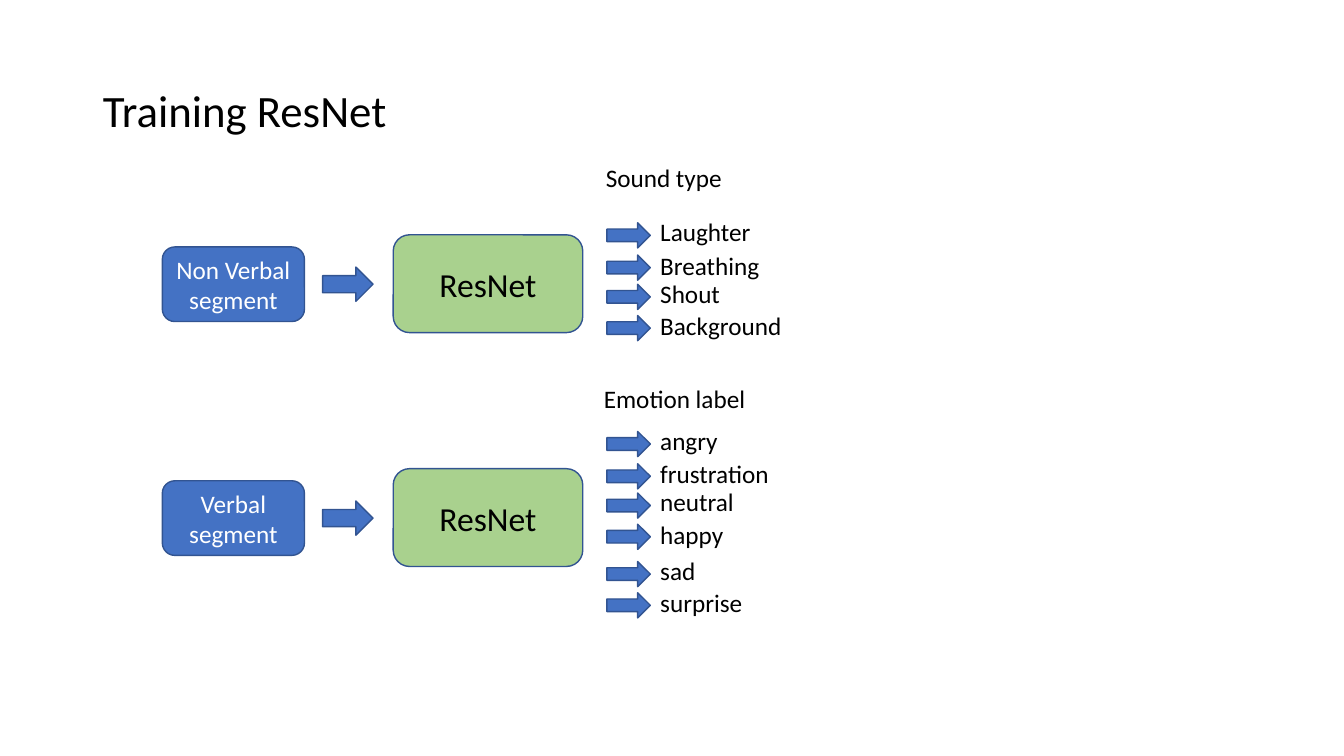
from dataclasses import dataclass
from pptx import Presentation
from pptx.dml.color import RGBColor as RGB
from pptx.enum.shapes import MSO_SHAPE as Form
from pptx.enum.text import MSO_ANCHOR as Anchor, MSO_AUTO_SIZE as Fit, PP_ALIGN as Align
from pptx.util import Inches, Pt


@dataclass(frozen=True)
class Theme:
    font: str = "Calibri"
    blue: RGB = RGB(0x44, 0x72, 0xC4)
    edge: RGB = RGB(0x32, 0x54, 0x91)
    green: RGB = RGB(0xA9, 0xD1, 0x8E)
    dark: RGB = RGB(0, 0, 0)
    light: RGB = RGB(255, 255, 255)
    head: int = 32
    model: int = 24
    body: int = 18


THEME = Theme()
TEXT_STEPS = (0, 0.33, 0.61, 0.93, 1.29, 1.61)
ARROW_STEPS = (0.11, 0.43, 0.72, 1.03, 1.4, 1.71)


def write(frame, text, size, color, align=Align.LEFT):
    frame.text = text
    frame.word_wrap = True
    line = frame.paragraphs[0]
    line.alignment = align
    font = line.runs[0].font
    font.name = THEME.font
    font.size = Pt(size)
    font.color.rgb = color


def add_title(slide, text):
    title = slide.shapes.title
    title.left, title.top = Inches(0.92), Inches(0.4)
    title.width, title.height = Inches(11.5), Inches(1.45)
    frame = title.text_frame
    write(frame, text, THEME.head, THEME.dark)
    frame.auto_size = Fit.NONE
    frame.vertical_anchor = Anchor.MIDDLE
    frame.paragraphs[0].line_spacing = 0.9


def add_form(slide, form, left, top, width, height, fill):
    shape = slide.shapes.add_shape(
        form, Inches(left), Inches(top), Inches(width), Inches(height))
    shape.shadow.inherit = False
    shape.fill.solid()
    shape.fill.fore_color.rgb = fill
    shape.line.color.rgb = THEME.edge
    shape.line.width = Pt(1)
    return shape


def add_block(slide, text, left, top, width, height, fill, size, color):
    block = add_form(slide, Form.ROUNDED_RECTANGLE, left, top, width, height, fill)
    block.text_frame.vertical_anchor = Anchor.MIDDLE
    write(block.text_frame, text, size, color, Align.CENTER)


def add_arrow(slide, left, top, width, height):
    add_form(slide, Form.RIGHT_ARROW, left, top, width, height, THEME.blue)


def add_label(slide, text, left, top, width):
    box = slide.shapes.add_textbox(
        Inches(left), Inches(top), Inches(width), Inches(0.4))
    write(box.text_frame, text, THEME.body, THEME.dark)
    box.text_frame.auto_size = Fit.SHAPE_TO_FIT_TEXT


def add_chain(slide, source, top):
    add_block(slide, source, 1.61, top + 0.12, 1.41, 0.74,
              THEME.blue, THEME.body, THEME.light)
    add_arrow(slide, 3.2, top + 0.32, 0.5, 0.34)
    add_block(slide, "ResNet", 3.9, top, 1.88, 0.97,
              THEME.green, THEME.model, THEME.dark)


def add_classes(slide, names, top):
    for name, text_step, arrow_step in zip(names, TEXT_STEPS, ARROW_STEPS):
        add_arrow(slide, 6.02, top + arrow_step, 0.43, 0.25)
        add_label(slide, name, 6.45, top + text_step, 1.47)


def main():
    deck = Presentation()
    deck.slide_width, deck.slide_height = Inches(13.33), Inches(7.5)
    slide = deck.slides.add_slide(deck.slide_layouts[5])
    add_title(slide, "Training ResNet")

    add_chain(slide, "Non Verbal segment", 2.33)
    add_label(slide, "Sound type", 5.91, 1.56, 1.89)
    add_classes(slide, ("Laughter", "Breathing", "Shout", "Background"), 2.1)

    add_chain(slide, "Verbal segment", 4.65)
    add_label(slide, "Emotion label", 5.89, 3.75, 1.89)
    add_classes(slide, ("angry", "frustration", "neutral",
                        "happy", "sad", "surprise"), 4.17)
    deck.save("out.pptx")


if __name__ == "__main__":
    main()
